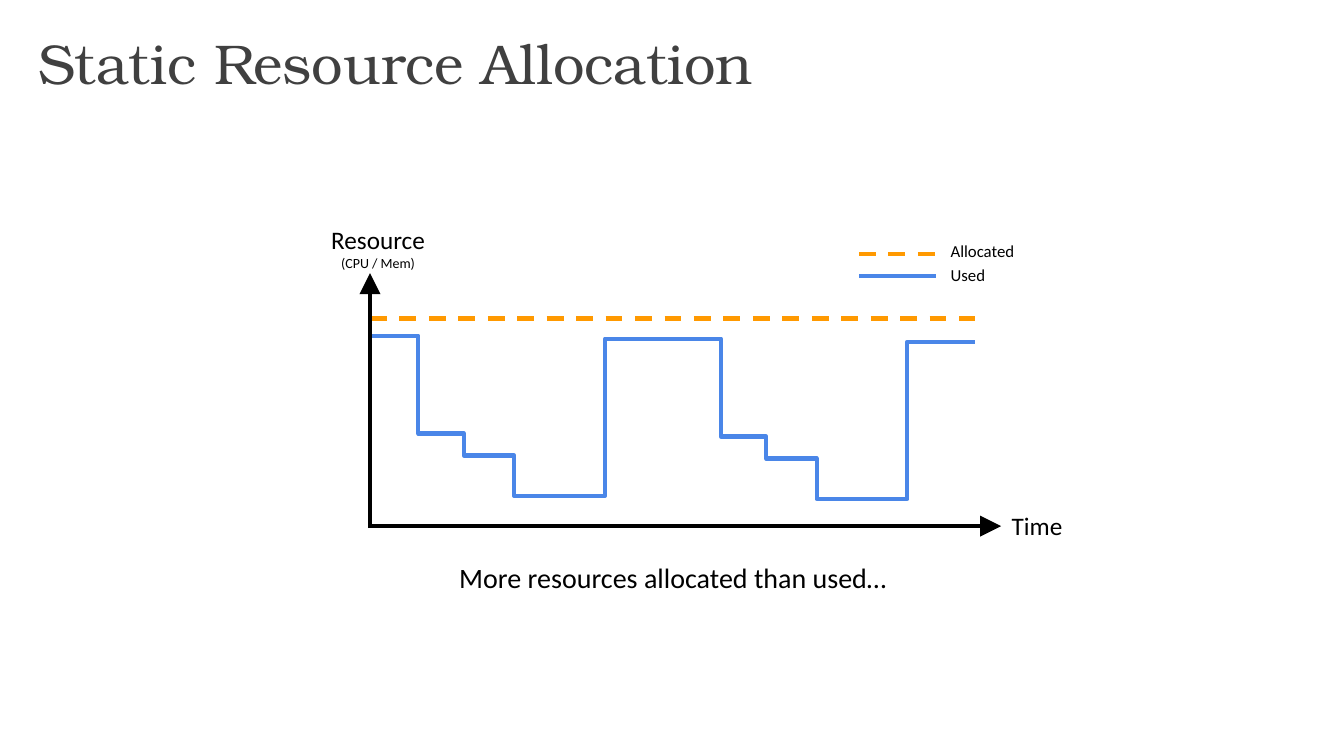
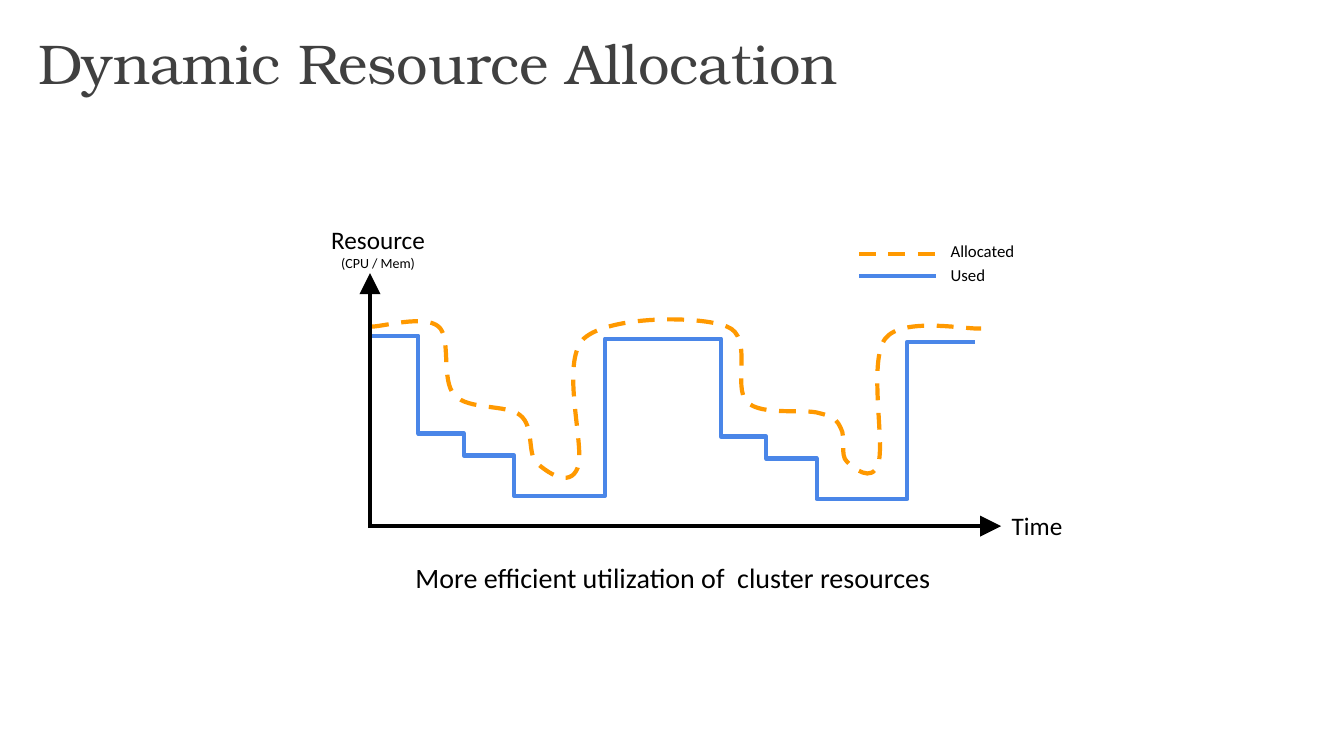
import pptx
import pptx.util
import pptx.dml.color
import pptx.enum.dml
import pptx.enum.shapes
import pptx.enum.text
import pptx.oxml
import pptx.oxml.ns

Inches = pptx.util.Inches
ALIGN = pptx.enum.text.PP_ALIGN
ANCHOR = pptx.enum.text.MSO_ANCHOR
NAMESPACE = pptx.oxml.ns.nsdecls("a")

BLACK, TITLE_GREY, ORANGE, BLUE = "000000", "404040", "FF9900", "4A86E8"
BODY_FONT, TITLE_FONT = "Calibri", "TeX Gyre Bonum"

CURVE_BOX = (3.69, 3.16, 6.04, 1.58)
CURVE_START = (3.69, 3.24)
ALLOCATED_CURVE = [
    ((3.8, 3.24), (4.21, 3.12), (4.35, 3.24)),
    ((4.48, 3.35), (4.37, 3.78), (4.51, 3.92)),
    ((4.64, 4.07), (5.03, 4.01), (5.16, 4.12)),
    ((5.3, 4.23), (5.23, 4.5), (5.32, 4.59)),
    ((5.42, 4.68), (5.65, 4.85), (5.73, 4.64)),
    ((5.81, 4.44), (5.55, 3.6), (5.79, 3.36)),
    ((6.04, 3.13), (6.94, 3.13), (7.21, 3.24)),
    ((7.48, 3.34), (7.26, 3.84), (7.41, 3.99)),
    ((7.56, 4.13), (7.98, 4.05), (8.13, 4.1)),
    ((8.29, 4.14), (8.3, 4.17), (8.34, 4.25)),
    ((8.39, 4.33), (8.33, 4.52), (8.4, 4.58)),
    ((8.46, 4.64), (8.65, 4.8), (8.71, 4.6)),
    ((8.78, 4.4), (8.61, 3.59), (8.78, 3.36)),
    ((8.95, 3.14), (9.58, 3.27), (9.73, 3.26)),
]
SLIDES = [
    {"title": "Static Resource Allocation",
     "caption": "More resources allocated than used…",
     "curve": []},
    {"title": "Dynamic Resource Allocation",
     "caption": "More efficient utilization of  cluster resources",
     "curve": ALLOCATED_CURVE},
]
USAGE_STARTS = [(3.67, 3.33), (6.67, 3.36)]
USAGE_LEVELS = [(0.48, 0), (0.93, 0.97), (1.43, 1.19), (2.33, 1.59), (3, 0.03)]
LEGEND = [
    ("Allocated", ORANGE, True, 2.52, 9.35, 2.28, 1.04),
    ("Used", BLUE, False, 2.74, 9.28, 2.52, 0.89),
]


def color(value):
    return pptx.dml.color.RGBColor.from_string(value)


def add_text(slide, text, left, top, width, height, size=18, font=BODY_FONT,
             fill=BLACK, align=ALIGN.CENTER, vertical_inset=0.1, anchor=ANCHOR.MIDDLE):
    lines = [(text, size)] if isinstance(text, str) else text
    shape = slide.shapes.add_textbox(Inches(left), Inches(top), Inches(width), Inches(height))
    frame = shape.text_frame
    frame.word_wrap = True
    frame.vertical_anchor = anchor
    frame.margin_left = frame.margin_right = Inches(0.1)
    frame.margin_top = frame.margin_bottom = Inches(vertical_inset)
    for index, (line, line_size) in enumerate(lines):
        paragraph = frame.add_paragraph() if index else frame.paragraphs[0]
        paragraph.alignment = align
        run = paragraph.add_run()
        run.text = line
        run.font.size = pptx.util.Pt(line_size)
        run.font.name = font
        run.font.color.rgb = color(fill)


def style_line(shape, stroke, dashed):
    shape.line.color.rgb = color(stroke)
    shape.line.width = pptx.util.Pt(3)
    if dashed:
        shape.line.dash_style = pptx.enum.dml.MSO_LINE.DASH


def add_line(slide, start, end, stroke, dashed=False, arrow=False):
    connector = slide.shapes.add_connector(
        pptx.enum.shapes.MSO_CONNECTOR.STRAIGHT,
        *[Inches(value) for value in (*start, *end)])
    style_line(connector, stroke, dashed)
    if arrow:
        connector.line._get_or_add_ln().append(pptx.oxml.parse_xml(
            f'<a:tailEnd {NAMESPACE} type="triangle" w="lg" len="lg"/>'))
    connector._element.spPr.append(pptx.oxml.parse_xml(f'<a:effectLst {NAMESPACE}/>'))


def add_outline(shapes, points, stroke, dashed=False):
    start, *rest = [(Inches(x), Inches(y)) for x, y in points]
    builder = shapes.build_freeform(*start)
    builder.add_line_segments(rest, close=False)
    shape = builder.convert_to_shape()
    shape.shadow.inherit = False
    shape.fill.background()
    style_line(shape, stroke, dashed)
    return shape


def point_xml(point):
    x, y = (Inches(value) - Inches(origin) for value, origin in zip(point, CURVE_BOX))
    return f'<a:pt x="{x}" y="{y}"/>'


def add_curve(slide, segments):
    anchors = [CURVE_START] + [segment[-1] for segment in segments]
    shape = add_outline(slide.shapes, anchors, ORANGE, dashed=True)
    shape.left, shape.top, shape.width, shape.height = map(Inches, CURVE_BOX)
    outline = next(shape._element.iter(pptx.oxml.ns.qn("a:path")))
    outline.set("w", str(shape.width))
    outline.set("h", str(shape.height))
    for child in list(outline):
        outline.remove(child)
    outline.append(pptx.oxml.parse_xml(
        f'<a:moveTo {NAMESPACE}>{point_xml(CURVE_START)}</a:moveTo>'))
    for segment in segments:
        points = "".join(map(point_xml, segment))
        outline.append(pptx.oxml.parse_xml(
            f'<a:cubicBezTo {NAMESPACE}>{points}</a:cubicBezTo>'))


def usage_points(start):
    left, top = start
    points = []
    x = left
    for end, drop in USAGE_LEVELS:
        points += [(x, top + drop), (left + end, top + drop)]
        x = left + end
    return points


def add_legend(slide):
    for label, stroke, dashed, y, right, text_top, width in LEGEND:
        add_line(slide, (8.52, y), (right, y), stroke, dashed)
        add_text(slide, label, 9.33, text_top, width, 0.41, size=12, align=ALIGN.LEFT)


def add_plot(slide, curve):
    add_text(slide, [("Resource", 18), ("(CPU / Mem)", 10)], 3.05, 2.16, 1.4, 0.6)
    add_text(slide, "Time", 9.83, 5.01, 0.91, 0.41)
    add_line(slide, (3.66, 5.22), (9.93, 5.22), BLACK, arrow=True)
    usage = slide.shapes.add_group_shape()
    for start in USAGE_STARTS:
        add_outline(usage.shapes, usage_points(start), BLUE)
    if curve:
        add_curve(slide, curve)
    else:
        add_line(slide, (3.67, 3.16), (9.67, 3.16), ORANGE, dashed=True)
    add_line(slide, (3.67, 5.24), (3.67, 2.71), BLACK, arrow=True)


def main():
    presentation = pptx.Presentation()
    presentation.slide_width = Inches(13.33)
    presentation.slide_height = Inches(7.5)
    for content in SLIDES:
        slide = presentation.slides.add_slide(presentation.slide_layouts[6])
        add_plot(slide, content["curve"])
        add_legend(slide)
        add_text(slide, content["caption"], 3.94, 5.51, 5.47, 0.44, size=20,
                 vertical_inset=0.05, anchor=ANCHOR.TOP)
        add_text(slide, content["title"], 0.28, 0.23, 9.36, 0.94, size=40,
                 font=TITLE_FONT, fill=TITLE_GREY, align=ALIGN.LEFT,
                 vertical_inset=0.05, anchor=ANCHOR.TOP)
    presentation.save("out.pptx")


if __name__ == "__main__":
    main()
